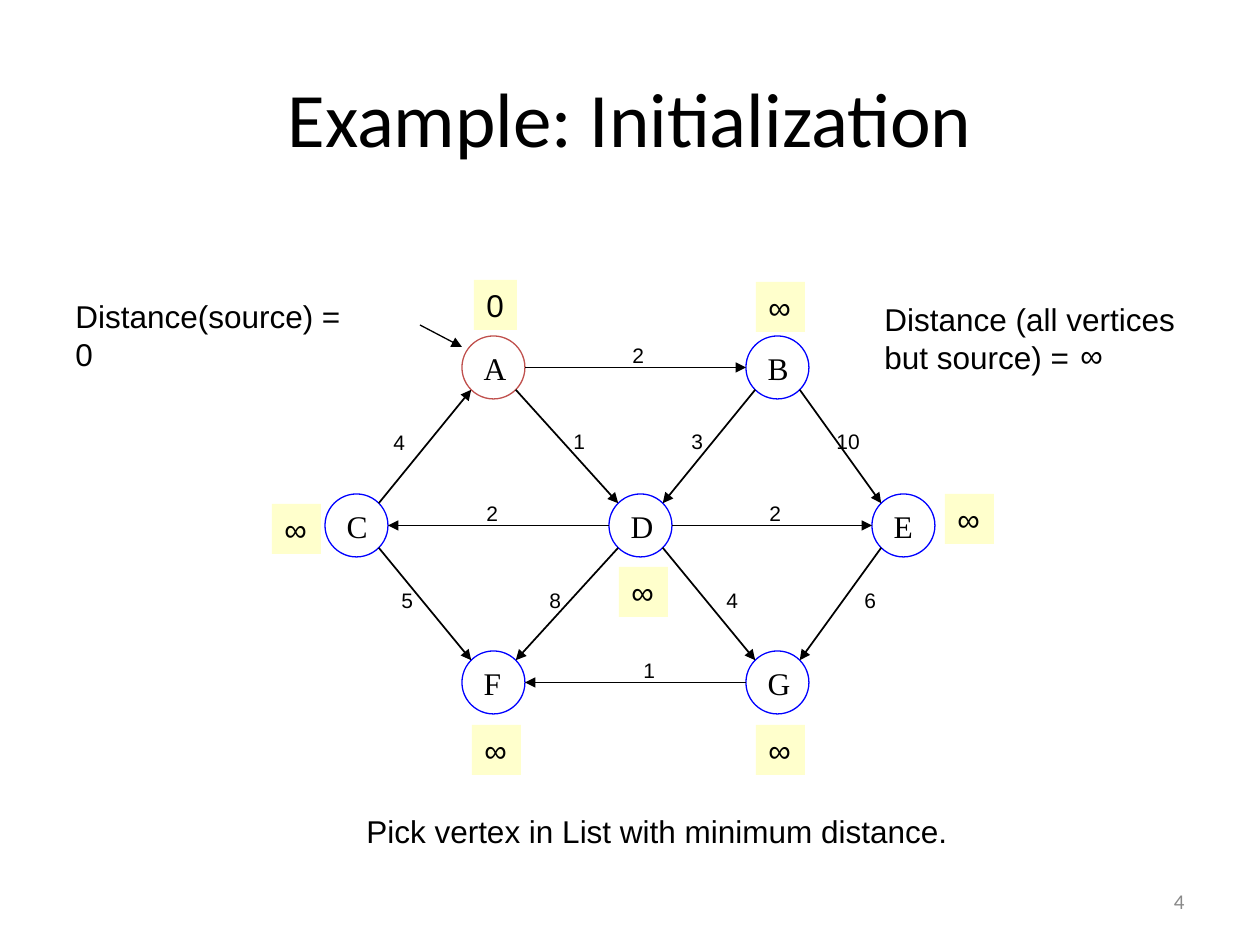
import math

import pptx
import pptx.dml.color
import pptx.enum.shapes
import pptx.enum.text
import pptx.oxml
import pptx.oxml.ns
import pptx.util

EMU_PER_PX = 914400 / 126

BLACK = pptx.dml.color.RGBColor(0x00, 0x00, 0x00)
WHITE = pptx.dml.color.RGBColor(0xFF, 0xFF, 0xFF)
BLUE = pptx.dml.color.RGBColor(0x00, 0x00, 0xFF)
RED = pptx.dml.color.RGBColor(0xC0, 0x50, 0x4D)
YELLOW = pptx.dml.color.RGBColor(0xFF, 0xFF, 0xCC)
GRAY = pptx.dml.color.RGBColor(0x89, 0x89, 0x89)

TOP = pptx.enum.text.MSO_ANCHOR.TOP
MIDDLE = pptx.enum.text.MSO_ANCHOR.MIDDLE
LEFT = pptx.enum.text.PP_ALIGN.LEFT
CENTER = pptx.enum.text.PP_ALIGN.CENTER
RIGHT = pptx.enum.text.PP_ALIGN.RIGHT
SHAPES = pptx.enum.shapes.MSO_SHAPE

SOURCE = "A"
DIAMETER = 63
RADIUS = DIAMETER / 2
VERTICES = {
    "A": (462, 336),
    "B": (746, 336),
    "C": (325, 494),
    "D": (609, 494),
    "E": (872, 494),
    "F": (462, 651),
    "G": (746, 651),
}
EDGES = [
    ("A", "B", "2", 620, 336),
    ("A", "D", "1", 561, 422),
    ("B", "D", "3", 679, 422),
    ("B", "E", "10", 824, 422),
    ("C", "A", "4", 381, 423),
    ("C", "F", "5", 389, 581),
    ("D", "C", "2", 474, 494),
    ("D", "E", "2", 757, 494),
    ("D", "F", "8", 537, 581),
    ("D", "G", "4", 714, 581),
    ("E", "G", "6", 852, 581),
    ("G", "F", "1", 631, 651),
]
DISTANCES = [
    ("0", 474, 280, 43),
    ("∞", 756, 282, 49),
    ("∞", 272, 504, 49),
    ("∞", 945, 494, 49),
    ("∞", 619, 567, 49),
    ("∞", 472, 725, 49),
    ("∞", 756, 725, 49),
]
NOTES = [
    ("Pick vertex in List with minimum distance.", 354, 806, 606, 50, False),
    ("Distance(source) = 0", 63, 291, 316, 88, True),
    ("Distance (all vertices but source) =", 872, 294, 347, 88, True),
    ("∞", 1068, 330, 62, 50, True),
]


def px(length):
    return pptx.util.Emu(round(length * EMU_PER_PX))


def box(*lengths):
    return [px(length) for length in lengths]


def write_text(shape, text, size, font="Arial", color=BLACK,
               align=LEFT, anchor=TOP, wrap=False):
    frame = shape.text_frame
    frame.word_wrap = wrap
    frame.vertical_anchor = anchor
    paragraph = frame.paragraphs[0]
    paragraph.alignment = align
    run = paragraph.add_run()
    run.text = text
    run.font.name = font
    run.font.size = pptx.util.Pt(size)
    run.font.color.rgb = color


def add_title(slide, text):
    title = slide.shapes.title
    title.left, title.top, title.width, title.height = box(63, 38, 1134, 157)
    write_text(title, text, 44, "Calibri", align=CENTER, anchor=MIDDLE, wrap=True)


def add_text(slide, text, left, top, width, height, size=18, **style):
    shape = slide.shapes.add_textbox(*box(left, top, width, height))
    write_text(shape, text, size, **style)


def add_vertex(slide, name):
    left, top = VERTICES[name]
    shape = slide.shapes.add_shape(SHAPES.OVAL, *box(left, top, DIAMETER, DIAMETER))
    shape.shadow.inherit = False
    if name == SOURCE:
        shape.fill.solid()
        shape.fill.fore_color.rgb = WHITE
    else:
        shape.fill.background()
    shape.line.color.rgb = RED if name == SOURCE else BLUE
    shape.line.width = pptx.util.Pt(0.75)
    write_text(shape, name, 18, "Times New Roman", anchor=MIDDLE)


def add_arrow(slide, start, end, width):
    arrow = slide.shapes.add_connector(
        pptx.enum.shapes.MSO_CONNECTOR.STRAIGHT, *box(*start, *end))
    arrow.line.color.rgb = BLACK
    arrow.line.width = pptx.util.Pt(width)
    head = pptx.oxml.parse_xml(
        f'<a:tailEnd {pptx.oxml.ns.nsdecls("a")} type="triangle"/>')
    arrow.line._get_or_add_ln().append(head)
    effects = pptx.oxml.parse_xml(f'<a:effectLst {pptx.oxml.ns.nsdecls("a")}/>')
    arrow._element.spPr.append(effects)


def rim_point(name, toward):
    left, top = VERTICES[name]
    across = VERTICES[toward][0] - left
    down = VERTICES[toward][1] - top
    reach = RADIUS * math.sqrt(0.5) if down else RADIUS
    x = left + RADIUS + math.copysign(reach, across)
    y = top + RADIUS + (math.copysign(reach, down) if down else 0)
    return x, y


def add_edge(slide, start, end):
    add_arrow(slide, rim_point(start, end), rim_point(end, start), 1)


def add_distance(slide, text, left, top, width):
    shape = slide.shapes.add_shape(SHAPES.RECTANGLE, *box(left, top, width, 50))
    shape.shadow.inherit = False
    shape.fill.solid()
    shape.fill.fore_color.rgb = YELLOW
    shape.line.fill.background()
    write_text(shape, text, 18)


def main():
    presentation = pptx.Presentation()
    presentation.slide_width, presentation.slide_height = box(1260, 945)
    slide = presentation.slides.add_slide(presentation.slide_layouts[5])
    add_title(slide, "Example: Initialization")
    for name in VERTICES:
        add_vertex(slide, name)
    for start, end, _, _, _ in EDGES:
        add_edge(slide, start, end)
    for _, _, weight, left, top in EDGES:
        add_text(slide, weight, left, top, 25 + 12 * len(weight), 38, 12, anchor=MIDDLE)
    for distance in DISTANCES:
        add_distance(slide, *distance)
    for text, left, top, width, height, wrap in NOTES:
        add_text(slide, text, left, top, width, height, wrap=wrap)
    add_arrow(slide, (420, 325), (462, 347), 0.75)
    add_text(slide, "4", 903, 876, 294, 50, 12, font="Calibri", color=GRAY,
             align=RIGHT, anchor=MIDDLE, wrap=True)
    presentation.save("out.pptx")


if __name__ == "__main__":
    main()
